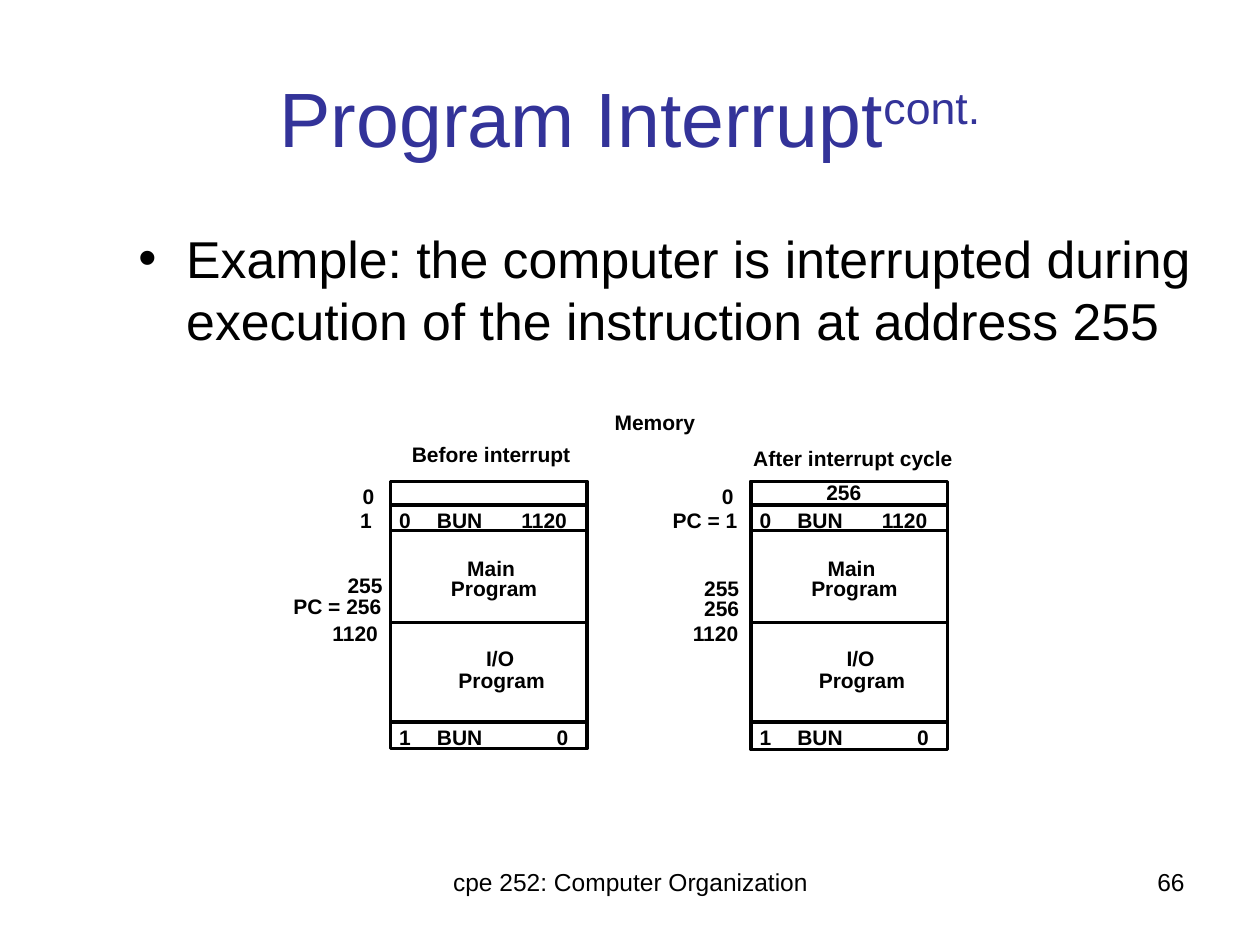
from lxml import etree
from pptx import Presentation
from pptx.dml.color import RGBColor
from pptx.enum.shapes import MSO_CONNECTOR, MSO_SHAPE
from pptx.enum.text import MSO_ANCHOR, PP_ALIGN
from pptx.oxml.ns import qn
from pptx.util import Inches, Pt

# Content
TITLE, TITLE_SUFFIX = "Program Interrupt", "cont."
BODY = ("Example: the computer is interrupted during execution "
        "of the instruction at address 255")
FOOTER, PAGE = "cpe 252: Computer Organization", "66"

# Words inside a memory block: text, offset from its left edge, top, width, height
CELLS = [
    ("0", -0.03, 4.0, 0.29, 0.28),
    ("BUN", 0.27, 4.0, 0.56, 0.28),
    ("1120", 0.94, 4.0, 0.57, 0.28),
    ("Main", 0.51, 4.38, 0.58, 0.46),
    ("Program", 0.38, 4.54, 0.88, 0.28),
    ("I/O", 0.66, 5.1, 0.42, 0.46),
    ("Program", 0.44, 5.27, 0.88, 0.28),
    ("1", -0.03, 5.72, 0.29, 0.28),
    ("BUN", 0.27, 5.72, 0.56, 0.28),
    ("0", 1.22, 5.72, 0.29, 0.28),
]

# Each block has its own heading and addresses: text, left, top, width
BLOCKS = [
    {"left": 3.1, "height": 2.12, "labels": [
        ("Before interrupt", 3.17, 3.48, 1.5),
        ("0", 2.78, 3.81, 0.29),
        ("1", 2.76, 4.0, 0.29),
        ("255", 2.66, 4.52, 0.48),
        ("PC = 256", 2.23, 4.68, 0.9),
        ("1120", 2.54, 4.9, 0.57),
    ]},
    {"left": 5.96, "height": 2.13, "labels": [
        ("After interrupt cycle", 5.88, 3.51, 1.83),
        ("256", 6.46, 3.78, 0.48),
        ("0", 5.63, 3.81, 0.29),
        ("PC = 1", 5.24, 4.0, 0.71),
        ("255", 5.49, 4.54, 0.48),
        ("256", 5.49, 4.7, 0.48),
        ("1120", 5.4, 4.9, 0.57),
    ]},
]
BLOCK_TOP, BLOCK_WIDTH = 3.82, 1.56
DIVIDERS = [4.01, 4.21, 4.94, 5.73]

THEME = {
    "font": "Arial",
    "title": RGBColor(0x33, 0x33, 0x99),
    "ink": RGBColor(0, 0, 0),
    "title_size": 44, "body_size": 29.6, "footer_size": 14, "label_size": 12,
    "line": 2,
}


def style(p, size, color="ink", bold=False):
    for r in p.runs:
        r.font.name = THEME["font"]
        r.font.size = Pt(THEME[size])
        r.font.color.rgb = THEME[color]
        r.font.bold = bold


def add_text(s, text, box, size, color="ink", align=PP_ALIGN.LEFT, bold=False):
    sp = s.shapes.add_textbox(*map(Inches, box))
    tf = sp.text_frame
    tf.word_wrap = True
    tf.text = text
    p = tf.paragraphs[0]
    p.alignment = align
    style(p, size, color, bold)
    return tf


def add_label(s, text, left, top, width, height=0.28):
    tf = add_text(s, text, (left, top, width, height), "label_size", bold=True)
    tf.margin_right = 0  # spare room keeps each label on one line
    tf.paragraphs[0].line_spacing = 0.9


def add_block(s, block):
    left = block["left"]
    sp = s.shapes.add_shape(MSO_SHAPE.RECTANGLE, Inches(left), Inches(BLOCK_TOP),
                            Inches(BLOCK_WIDTH), Inches(block["height"]))
    sp.shadow.inherit = False
    sp.fill.background()
    sp.line.color.rgb = THEME["ink"]
    sp.line.width = Pt(THEME["line"])
    for y in DIVIDERS:
        line = s.shapes.add_connector(MSO_CONNECTOR.STRAIGHT, Inches(left), Inches(y),
                                      Inches(left + BLOCK_WIDTH), Inches(y))
        line.line.color.rgb = THEME["ink"]
        line.line.width = Pt(THEME["line"])
        etree.SubElement(line._element.spPr, qn("a:effectLst"))
    for text, dx, top, width, height in CELLS:
        add_label(s, text, left + dx, top, width, height)
    for label in block["labels"]:
        add_label(s, *label)


def main():
    prs = Presentation()
    prs.slide_width, prs.slide_height = Inches(10), Inches(7.5)
    s = prs.slides.add_slide(prs.slide_layouts[6])

    # Footer and page number
    add_text(s, FOOTER, (3.42, 6.83, 3.17, 0.52), "footer_size", align=PP_ALIGN.CENTER)
    add_text(s, PAGE, (7.17, 6.83, 2.33, 0.52), "footer_size", align=PP_ALIGN.RIGHT)

    # Title with raised suffix
    tf = add_text(s, TITLE, (0.5, 0.3, 9, 1.25), "title_size", "title", PP_ALIGN.CENTER)
    tf.vertical_anchor = MSO_ANCHOR.MIDDLE
    p = tf.paragraphs[0]
    r = p.add_run()
    r.text = TITLE_SUFFIX
    style(p, "title_size", "title")
    r.font._element.set("baseline", "30000")

    # Bulleted statement
    tf = add_text(s, BODY, (1, 1.75, 8.67, 1.25), "body_size")
    pPr = tf.paragraphs[0]._p.get_or_add_pPr()
    pPr.set("marL", str(Inches(0.38)))
    pPr.set("indent", str(-Inches(0.38)))
    etree.SubElement(pPr, qn("a:buFont"), typeface=THEME["font"])
    etree.SubElement(pPr, qn("a:buChar"), char="•")

    # Memory diagram
    add_label(s, "Memory", 4.78, 3.22, 0.84)
    for block in BLOCKS:
        add_block(s, block)

    prs.save("out.pptx")


if __name__ == "__main__":
    main()
